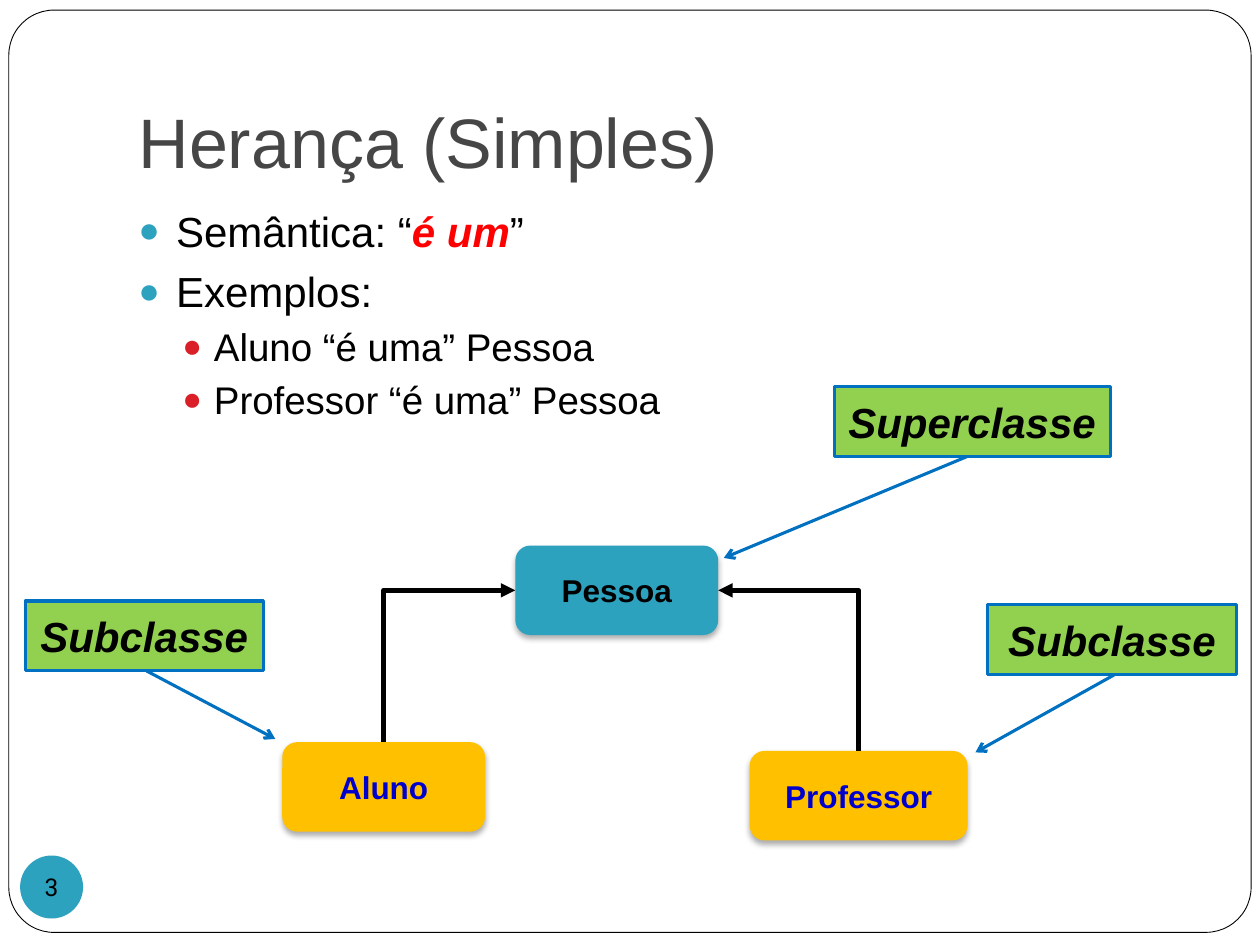
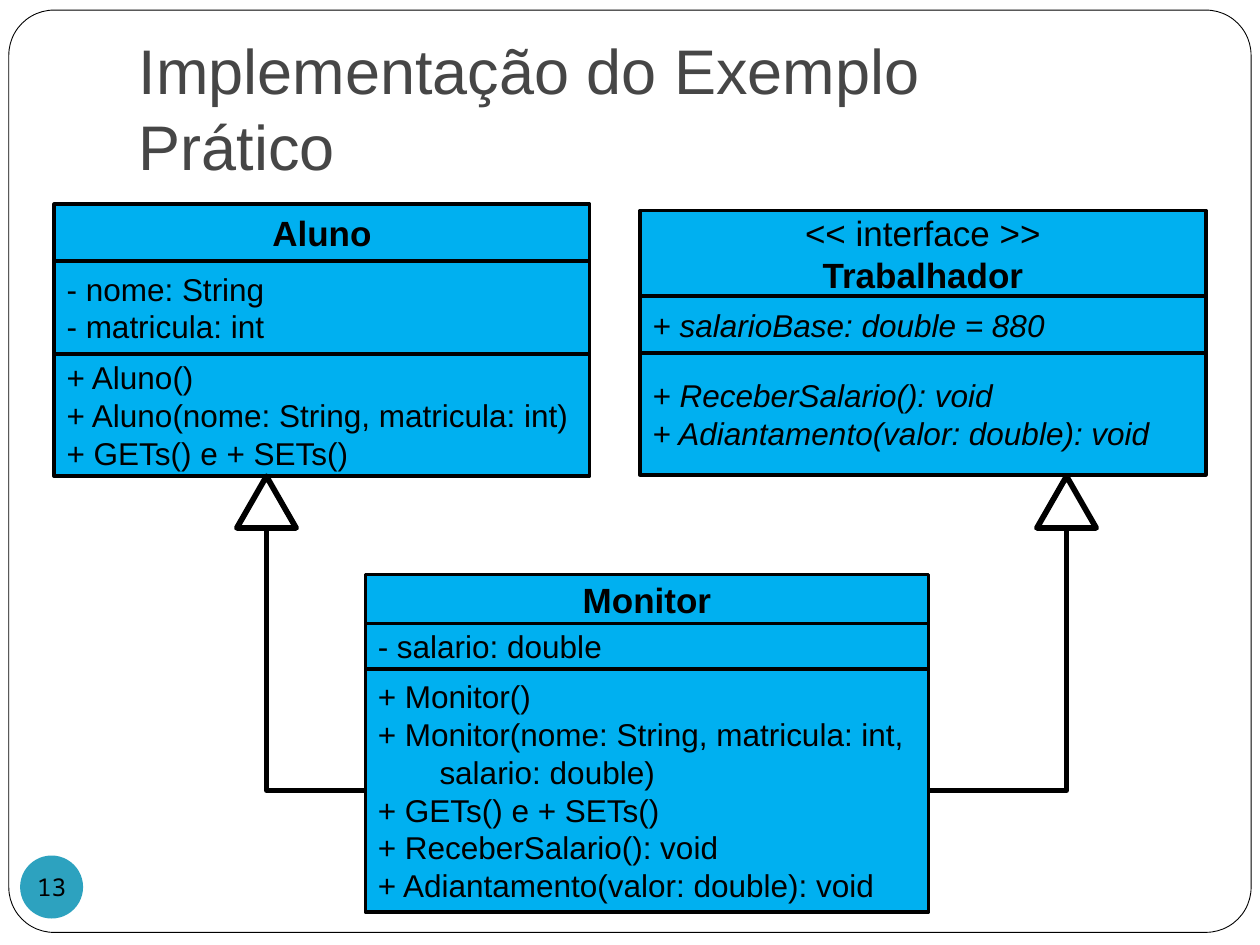
from dataclasses import dataclass

from lxml.etree import SubElement
from pptx import Presentation
from pptx.dml.color import RGBColor
from pptx.enum.shapes import MSO_CONNECTOR, MSO_SHAPE
from pptx.enum.text import MSO_ANCHOR, MSO_AUTO_SIZE, PP_ALIGN
from pptx.oxml.ns import qn
from pptx.util import Inches, Pt


@dataclass(frozen=True)
class Theme:
    """Colours, fonts and type sizes of the deck."""
    font: str = "Arial"
    white: str = "FFFFFF"
    ink: str = "000000"
    head: str = "464646"
    teal: str = "2DA2BF"
    red: str = "DA1F28"
    alert: str = "FF0000"
    gold: str = "FFC000"
    navy: str = "0000CC"
    green: str = "92D050"
    blue: str = "0070C0"
    sky: str = "00B0F0"
    large: int = 24
    medium: int = 22
    name: int = 20
    text: int = 18
    small: int = 14


TOP, LEFT, BOTTOM, RIGHT = range(4)


def unit(value):
    """Turn grid steps, 100 columns by 75 rows, into a length."""
    return Inches(round(value / 10, 3))


def place(shape, box):
    """Move a shape to a grid box."""
    shape.left, shape.top, shape.width, shape.height = map(unit, box)


class Deck:
    """Holds the style and the current slide."""

    def __init__(self, theme):
        """Start an empty deck."""
        self.look = theme
        self.file = Presentation()
        self.file.slide_width, self.file.slide_height = unit(100), unit(75)
        self.base = self.file.slide_layouts[5]
        self.slide = None

    def page(self, title, size, width, number, font):
        """Start a slide with its title and number disc."""
        first = self.slide is None
        self.slide = self.file.slides.add_slide(self.base)
        if first:
            self.frame()
        head = self.slide.shapes.title
        place(head, (10, 3, width, 12.5))
        frame = head.text_frame
        frame.text = title
        frame.auto_size = MSO_AUTO_SIZE.NONE
        frame.word_wrap = True
        frame.vertical_anchor = MSO_ANCHOR.BOTTOM
        frame.margin_bottom = unit(1)
        self.style(frame, size, self.look.head)
        disc = self.shape(MSO_SHAPE.OVAL, (1.6, 67.9, 5, 5), self.look.teal)
        self.label(disc, [number], self.look.small, font=font,
                   align=PP_ALIGN.CENTER, wrap=False, inset=0)

    def frame(self):
        """Put the rounded border on the shared layout."""
        edge = self.shape(MSO_SHAPE.ROUNDED_RECTANGLE, (0.7, 0.8, 98.6, 73.2),
                          self.look.white, self.look.ink, 0.5)
        edge.adjustments[0] = 0.049
        self.base.shapes._spTree.insert(2, edge._element)

    def shape(self, kind, box, fill=None, line=None, weight=1):
        """Add a preset shape with a flat fill and line."""
        item = self.slide.shapes.add_shape(kind, *map(unit, box))
        item.shadow.inherit = False
        if fill:
            item.fill.solid()
            item.fill.fore_color.rgb = RGBColor.from_string(fill)
        else:
            item.fill.background()
        if line:
            item.line.color.rgb = RGBColor.from_string(line)
            item.line.width = Pt(weight)
        else:
            item.line.fill.background()
        return item

    def style(self, frame, size, color, font=None, bold=False, italic=False,
              align=PP_ALIGN.LEFT):
        """Format every run of a text frame."""
        for line in frame.paragraphs:
            line.alignment = align
            for run in line.runs:
                face = run.font
                face.name, face.size = font or self.look.font, Pt(size)
                face.bold, face.italic = bold, italic
                face.color.rgb = RGBColor.from_string(color)

    def label(self, item, lines, size, color=None, wrap=True, inset=None,
              **looks):
        """Fill a shape with lines of text, centred in height."""
        frame = item.text_frame
        frame.text = "\n".join(lines)
        frame.word_wrap = wrap
        frame.vertical_anchor = MSO_ANCHOR.MIDDLE
        if inset is not None:
            frame.margin_left = frame.margin_right = inset
            frame.margin_top = frame.margin_bottom = inset
        self.style(frame, size, color or self.look.ink, **looks)

    def bullets(self, box, lines):
        """Add a two-level list; text between asterisks is stressed."""
        look = self.look
        levels = ((look.large, look.teal, 0.3, 0.3, 5.8),
                  (look.medium, look.red, 0.6, 0.25, 3.8))
        frame = self.slide.shapes.add_textbox(*map(unit, box)).text_frame
        frame.word_wrap = True
        for rank, (level, text) in enumerate(lines):
            line = frame.add_paragraph() if rank else frame.paragraphs[0]
            size, dot, left, hang, gap = levels[level]
            line.level, line.space_before = level, Pt(gap)
            for turn, part in enumerate(text.split("*")):
                run = line.add_run()
                run.text = part
                face = run.font
                face.name, face.size = look.font, Pt(size)
                face.bold = face.italic = turn % 2 == 1
                tint = look.alert if turn % 2 else look.ink
                face.color.rgb = RGBColor.from_string(tint)
            rule = line._p.get_or_add_pPr()
            rule.set("marL", str(Inches(left)))
            rule.set("indent", str(-Inches(hang)))
            tint = SubElement(rule, qn("a:buClr"))
            SubElement(tint, qn("a:srgbClr"), val=dot)
            SubElement(rule, qn("a:buSzPct"), val="85000")
            SubElement(rule, qn("a:buFont"), typeface=look.font)
            SubElement(rule, qn("a:buChar"), char="●")

    def node(self, text, box, fill, color):
        """Add a rounded class box with a soft shadow."""
        item = self.shape(MSO_SHAPE.ROUNDED_RECTANGLE, box, fill)
        self.label(item, [text], self.look.text, color, bold=True,
                   align=PP_ALIGN.CENTER)
        glow = SubElement(item._element.spPr.find(qn("a:effectLst")),
                          qn("a:outerShdw"), blurRad=str(Pt(3.5)),
                          dist=str(Pt(2.2)), dir="5400000", rotWithShape="0")
        tint = SubElement(glow, qn("a:srgbClr"), val=self.look.ink)
        SubElement(tint, qn("a:alpha"), val="32000")
        return item

    def callout(self, text, box, points):
        """Add a label whose leader line ends in an arrow."""
        item = self.shape(MSO_SHAPE.LINE_CALLOUT_1, box, self.look.green,
                          self.look.blue, 1.75)
        for rank, value in enumerate(points):
            item.adjustments[rank] = value
        SubElement(item.line._get_or_add_ln(), qn("a:tailEnd"), type="arrow")
        self.label(item, [text], self.look.large, bold=True, italic=True,
                   align=PP_ALIGN.CENTER, wrap=False)

    def elbow(self, start, side, end, site, low=False, tip=False):
        """Join a side of one shape to the top or foot of another."""
        wire = self.slide.shapes.add_connector(MSO_CONNECTOR.ELBOW, 0, 0, 0, 0)
        wire.begin_connect(start, side)
        wire.end_connect(end, site)
        wire.end_x = end.left + end.width // 2
        wire.end_y = end.top + (end.height if low else 0)
        wire.line.color.rgb = RGBColor.from_string(self.look.ink)
        wire.line.width = Pt(2.75)
        form = wire._element.spPr
        form.find(qn("a:prstGeom")).set("prst", "bentConnector2")
        SubElement(form, qn("a:effectLst"))
        if tip:
            SubElement(wire.line._get_or_add_ln(), qn("a:headEnd"),
                       type="triangle")

    def card(self, left, top, width, parts, italic=False):
        """Stack the name, fields and methods of a class."""
        cells = []
        for rank, (height, lines) in enumerate(parts):
            cell = self.shape(MSO_SHAPE.RECTANGLE, (left, top, width, height),
                              self.look.sky, self.look.ink, 2)
            if rank:
                self.label(cell, lines, self.look.text, italic=italic)
            else:
                self.label(cell, lines, self.look.name, bold=True,
                           align=PP_ALIGN.CENTER)
            top += height
            cells.append(cell)
        return cells

    def inherit(self, child, side, left):
        """Draw a hollow triangle and its line to the child."""
        tip = self.shape(MSO_SHAPE.ISOSCELES_TRIANGLE, (left, 37.8, 4.7, 4.1),
                         None, self.look.ink, 3.25)
        self.elbow(child, side, tip, 3, low=True)


def simple(deck):
    """Build the slide on single inheritance."""
    look = deck.look
    deck.page("Herança (Simples)", 40, 85, "3", "Roboto")
    deck.bullets((10, 15.8, 88, 56.3), [
        (0, "Semântica: “*é um*”"),
        (0, "Exemplos:"),
        (1, "Aluno “é uma” Pessoa"),
        (1, "Professor “é uma” Pessoa"),
    ])
    pupil = deck.node("Aluno", (22.4, 58.9, 16.1, 7.1), look.gold, look.navy)
    tutor = deck.node("Professor", (59.5, 59.6, 17.3, 7.1), look.gold, look.navy)
    person = deck.node("Pessoa", (40.9, 43.3, 16.1, 7.1), look.teal, look.ink)
    deck.elbow(person, LEFT, pupil, TOP, tip=True)
    deck.elbow(person, RIGHT, tutor, TOP, tip=True)
    deck.callout("Superclasse", (66.2, 30.7, 21.9, 5.5),
                 (1.01, 0.48, 2.47, -0.4))
    deck.callout("Subclasse", (78.4, 48, 19.7, 5.5), (1.01, 0.51, 2.13, -0.05))
    deck.callout("Subclasse", (2, 47.7, 18.9, 5.5), (1.01, 0.51, 1.99, 1.05))


def sample(deck):
    """Build the slide with the class diagram."""
    deck.page("Implementação do Exemplo Prático", 36, 74.7, "13",
              "Noto Sans Mono")
    body = deck.card(29, 45.6, 44.7, [
        (3.9, ["Monitor"]),
        (3.6, ["- salario: double"]),
        (19.3, ["+ Monitor()",
                "+ Monitor(nome: String, matricula: int,",
                "salario: double)",
                "+ GETs() e + SETs()",
                "+ ReceberSalario(): void",
                "+ Adiantamento(valor: double): void"]),
    ])[-1]
    rule = body.text_frame.paragraphs[2]._p.get_or_add_pPr()
    rule.set("marL", str(unit(4.9)))
    worker = deck.card(50.8, 16.7, 44.9, [
        (6.8, ["<< interface >>", "Trabalhador"]),
        (4.5, ["+ salarioBase: double = 880"]),
        (9.7, ["+ ReceberSalario(): void",
               "+ Adiantamento(valor: double): void"]),
    ], italic=True)[0]
    worker.text_frame.paragraphs[0].runs[0].font.bold = False
    deck.card(4.3, 16.2, 42.5, [
        (4.5, ["Aluno"]),
        (7.4, ["- nome: String", "- matricula: int"]),
        (9.7, ["+ Aluno()",
               "+ Aluno(nome: String, matricula: int)",
               "+ GETs() e + SETs()"]),
    ])
    deck.inherit(body, LEFT, 18.8)
    deck.inherit(body, RIGHT, 82.3)


def main():
    """Build and save the deck."""
    deck = Deck(Theme())
    simple(deck)
    sample(deck)
    deck.file.save("out.pptx")


if __name__ == "__main__":
    main()
